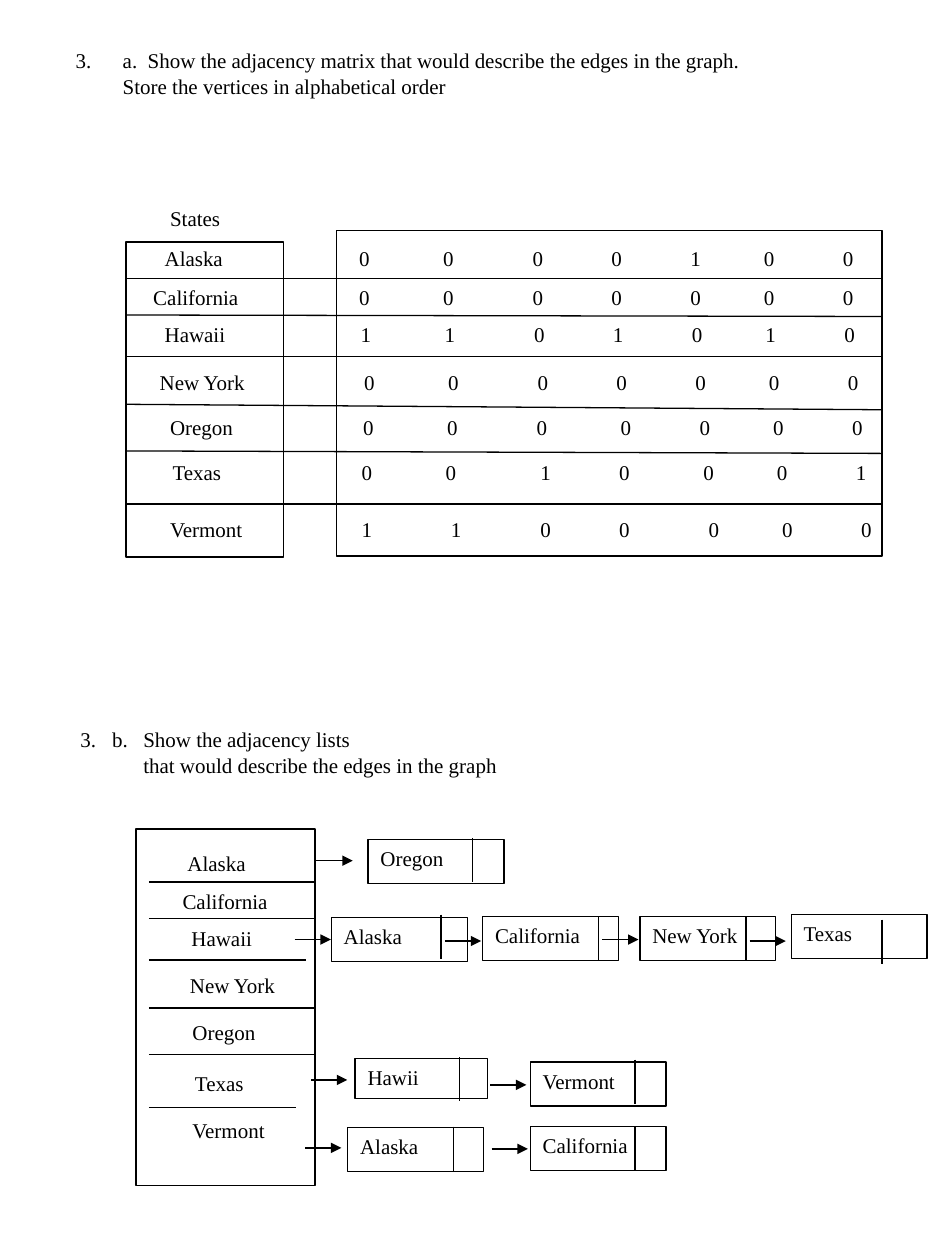
import itertools

import pptx
import pptx.dml.color
import pptx.enum.shapes
import pptx.enum.text
import pptx.oxml
import pptx.oxml.ns
import pptx.util
from lxml import etree
from pptx.util import Cm

COLORS = {"ink": "000000"}
INSET = 0.25
SPACE = 0.106  # width of one space in the 12 point text

# state, left, top, first digit, digits
MATRIX = [
    ("Alaska", 3.07, 4.83, 7.24, "0000100"),
    ("California", 2.84, 5.61, 7.24, "0000000"),
    ("Hawaii", 3.07, 6.35, 7.27, "1101010"),
    ("New York", 2.97, 7.32, 7.34, "0000000"),
    ("Oregon", 3.18, 8.23, 7.32, "0000000"),
    ("Texas", 3.23, 9.14, 7.29, "0010001"),
    ("Vermont", 3.18, 10.29, 7.29, "1100000"),
]
# distance between neighbouring digits, counted in spaces
STEPS = (16, 17, 15, 15, 14, 15)
SPECIAL_STEPS = {
    "Oregon": (16, 17, 16, 15, 14, 15),
    "Texas": (16, 18, 15, 16, 14, 15),
    "Vermont": (17, 17, 15, 17, 14, 15),
}
# height at the left end, height at the right end
MATRIX_RULES = [(5.61, 5.61), (6.35, 6.38), (7.19, 7.19),
                (8.15, 8.26), (9.09, 9.14), (10.16, 10.16)]

# state, left, top, width
LIST_HEADS = [
    ("Alaska", 3.53, 17.02, 2.18),
    ("California", 3.43, 17.78, 2.54),
    ("Hawaii", 3.61, 18.54, 2.11),
    ("New York", 3.58, 19.48, 2.39),
    ("Oregon", 3.63, 20.42, 2.08),
    ("Texas", 3.68, 21.46, 2.03),
    ("Vermont", 3.63, 22.4, 2.34),
]
# right end, height
LIST_RULES = [(6.35, 17.78), (6.35, 18.52), (6.17, 19.35),
              (6.35, 20.32), (6.32, 21.26), (5.97, 22.33)]
# state, box (left, top, width, height), divider (x, top), arrow start
NODES = [
    ("Oregon", (7.42, 16.92, 2.74, 0.89), (9.53, 16.89), (6.38, 17.35)),
    ("Alaska", (6.68, 18.49, 2.74, 0.89), (8.89, 18.44), (5.94, 18.94)),
    ("California", (9.73, 18.47, 2.74, 0.89), (12.07, 18.47), (8.97, 18.97)),
    ("New York", (12.9, 18.47, 2.74, 0.89), (15.04, 18.49), (12.14, 18.94)),
    ("Texas", (15.95, 18.44, 2.74, 0.89), (17.78, 18.54), (15.11, 18.97)),
    ("Hawii", (7.16, 21.34, 2.67, 0.81), (9.27, 21.31), (6.27, 21.77)),
    ("Vermont", (10.69, 21.41, 2.74, 0.89), (12.8, 21.36), (9.88, 21.87)),
    ("Alaska", (7.01, 22.73, 2.74, 0.89), (9.14, 22.71), (6.15, 23.14)),
    ("California", (10.69, 22.71, 2.74, 0.89), (12.8, 22.71), (9.91, 23.16)),
]
DIVIDER_HEIGHT = 0.89
ARROW_LENGTH = 0.73


class Sheet:
    """Holds the style and the current slide."""

    font = {"name": "Times New Roman", "size": pptx.util.Pt(12), "bold": False}
    line_width = pptx.util.Pt(0.75)

    def __init__(self, slide):
        """Start drawing on a slide."""
        self.slide = slide
        self.ink = pptx.dml.color.RGBColor.from_string(COLORS["ink"])

    def fill_text(self, shape, text, tabs=(), wrap=True):
        """Fill a shape with left-aligned text, with tab stops if given."""
        frame = shape.text_frame
        frame.text = text
        frame_format = {
            "word_wrap": wrap,
            "vertical_anchor": pptx.enum.text.MSO_ANCHOR.TOP,
        }
        for name, value in frame_format.items():
            setattr(frame, name, value)
        for paragraph in frame.paragraphs:
            paragraph.alignment = pptx.enum.text.PP_ALIGN.LEFT
            for run in paragraph.runs:
                for name, value in self.font.items():
                    setattr(run.font, name, value)
                run.font.color.rgb = self.ink
            if tabs:
                properties = paragraph._p.get_or_add_pPr()
                stops = etree.SubElement(properties, pptx.oxml.ns.qn("a:tabLst"))
                for tab in tabs:
                    etree.SubElement(stops, pptx.oxml.ns.qn("a:tab"),
                                     pos=str(int(Cm(tab))), algn="l")

    def title(self, text, left, top, width, height, number):
        """Place the title as a numbered question."""
        shape = self.slide.shapes.title
        place = {"left": left, "top": top, "width": width, "height": height}
        for name, value in place.items():
            setattr(shape, name, Cm(value))
        self.fill_text(shape, text)
        shape.text_frame.auto_size = pptx.enum.text.MSO_AUTO_SIZE.NONE
        properties = shape.text_frame.paragraphs[0]._p.get_or_add_pPr()
        properties.set("marL", str(int(Cm(0.95))))
        properties.set("indent", str(int(Cm(-0.95))))
        etree.SubElement(properties, pptx.oxml.ns.qn("a:buAutoNum"),
                         type="arabicPeriod", startAt=str(number))

    def label(self, text, left, top, width, height=0.76, **options):
        """Add a text box."""
        shape = self.slide.shapes.add_textbox(
            Cm(left), Cm(top), Cm(width), Cm(height))
        self.fill_text(shape, text, **options)
        shape.text_frame.auto_size = pptx.enum.text.MSO_AUTO_SIZE.SHAPE_TO_FIT_TEXT

    def box(self, left, top, width, height, text=""):
        """Add an outlined rectangle."""
        shape = self.slide.shapes.add_shape(
            pptx.enum.shapes.MSO_SHAPE.RECTANGLE,
            Cm(left), Cm(top), Cm(width), Cm(height))
        shape.shadow.inherit = False
        shape.fill.background()
        shape.line.color.rgb = self.ink
        shape.line.width = self.line_width
        if text:
            self.fill_text(shape, text)

    def line(self, start, end, arrow=False):
        """Add a straight line, with an arrowhead at its end if asked."""
        connector = self.slide.shapes.add_connector(
            pptx.enum.shapes.MSO_CONNECTOR.STRAIGHT,
            *(Cm(value) for value in (*start, *end)))
        connector.line.color.rgb = self.ink
        connector.line.width = self.line_width
        if arrow:
            etree.SubElement(connector.line._get_or_add_ln(),
                             pptx.oxml.ns.qn("a:tailEnd"), type="triangle")
        etree.SubElement(connector._element.spPr, pptx.oxml.ns.qn("a:effectLst"))


def draw_matrix(sheet):
    """Draw the adjacency matrix with its state names."""
    sheet.box(2.54, 4.88, 3.18, 6.35)
    sheet.box(6.78, 4.65, 11, 6.56)
    sheet.label("States", 3.18, 4.01, 1.52, wrap=False)
    for left_height, right_height in MATRIX_RULES:
        sheet.line((2.54, left_height), (17.78, right_height))
    for state, left, top, first, digits in MATRIX:
        steps = SPECIAL_STEPS.get(state, STEPS)
        offsets = itertools.accumulate((0, *steps))
        tabs = [first - left - INSET + offset * SPACE for offset in offsets]
        sheet.label("\t".join((state, *digits)), left, top, 15.5, tabs=tabs)


def draw_lists(sheet):
    """Draw the adjacency lists with their linked nodes."""
    sheet.box(2.74, 16.71, 3.61, 7.19)
    for right, height in LIST_RULES:
        sheet.line((3, height), (right, height))
    for state, left, top, width in LIST_HEADS:
        sheet.label(state, left, top, width)
    for state, box, (x, top), (start, height) in NODES:
        sheet.box(*box, text=state)
        sheet.line((x, top), (x, top + DIVIDER_HEIGHT))
        sheet.line((start, height), (start + ARROW_LENGTH, height), arrow=True)


def main():
    """Build and save the presentation."""
    presentation = pptx.Presentation()
    presentation.slide_width = Cm(19.05)
    presentation.slide_height = Cm(25.4)
    sheet = Sheet(presentation.slides.add_slide(presentation.slide_layouts[5]))
    sheet.title("a.  Show the adjacency matrix that would describe the edges in "
                "the graph. Store the vertices in alphabetical order",
                1.27, 0.84, 14.81, 1.27, number=3)
    draw_matrix(sheet)
    sheet.label("3.\tb.\tShow the adjacency lists\n"
                "\t\tthat would describe the edges in the graph",
                1.37, 14.53, 8.94, 1.27, tabs=(0.64, 1.27), wrap=False)
    draw_lists(sheet)
    presentation.save("out.pptx")


main()
